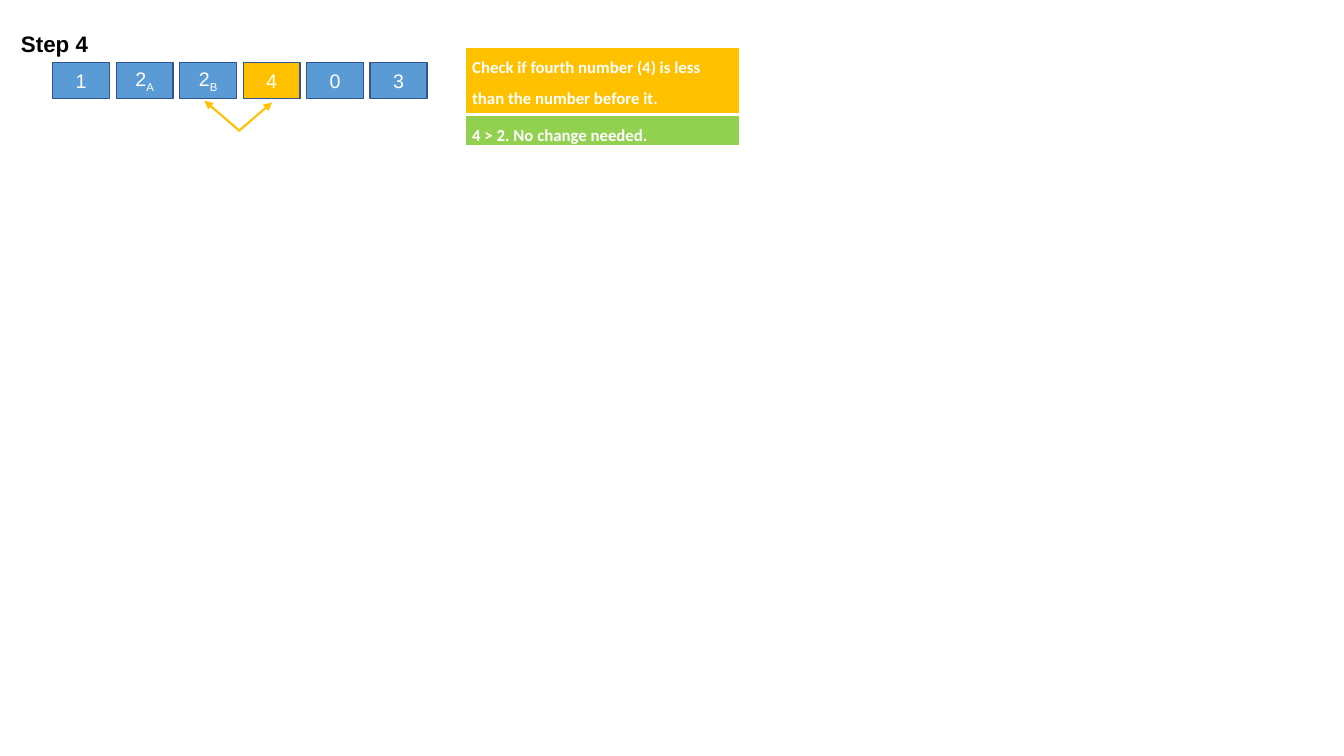
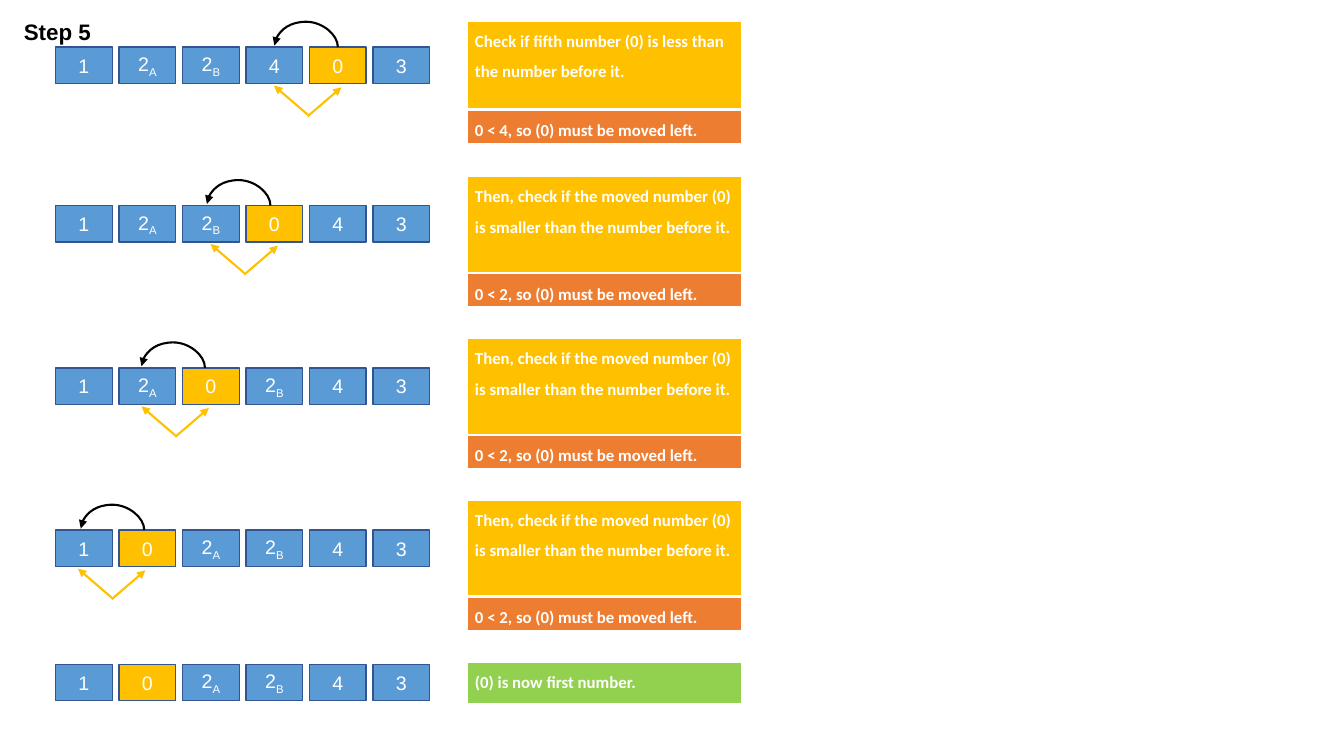
"""Builds two slides that walk through steps 4 and 5 of an insertion sort."""
from dataclasses import dataclass
from typing import NamedTuple

from lxml.etree import SubElement
from pptx import Presentation
from pptx.dml.color import RGBColor
from pptx.enum.shapes import MSO_CONNECTOR as Connector, MSO_SHAPE as Shape
from pptx.enum.text import MSO_ANCHOR as Anchor, MSO_AUTO_SIZE as AutoSize, PP_ALIGN as Align
from pptx.oxml.ns import qn
from pptx.util import Cm, Pt


@dataclass(frozen=True)
class Theme:
    box: str = "5B9BD5"
    box_line: str = "325491"
    active: str = "FFC000"
    move: str = "ED7D31"
    done: str = "92D050"
    ink: str = "000000"
    paper: str = "FFFFFF"
    number_font: str = "Arial"
    remark_font: str = "Calibri"
    title_size: int = 16
    number_size: int = 14
    remark_size: int = 12
    arrow_width: float = 1.5


class Remark(NamedTuple):
    text: str
    height: float
    fill: str


class Stage(NamedTuple):
    numbers: str
    active: int
    top: float
    remark_top: float
    remarks: tuple
    chevron_shift: float | None = None
    arc_shift: float | None = None


THEME = Theme()
RECHECK = Remark("Then, check if the moved number (0) is smaller than the number before it.",
                 2.45, THEME.active)
MOVE_PAST_TWO = Remark("0 < 2, so (0) must be moved left.", 0.86, THEME.move)

STEPS = [
    dict(title="Step 4", left=1.33, title_top=0.64, stages=[
        Stage("1 2A 2B 4 0 3", 3, 1.57, 1.2, (
            Remark("Check if fourth number (4) is less than the number before it.", 1.7, THEME.active),
            Remark("4 > 2. No change needed.", 0.81, THEME.done)), -0.04),
    ]),
    dict(title="Step 5", left=1.4, title_top=0.33, stages=[
        Stage("1 2A 2B 4 0 3", 4, 1.19, 0.53, (
            Remark("Check if fifth number (0) is less than the number before it.", 2.25, THEME.active),
            Remark("0 < 4, so (0) must be moved left.", 0.86, THEME.move)), 0.04, 0),
        Stage("1 2A 2B 0 4 3", 3, 5.18, 4.45, (RECHECK, MOVE_PAST_TWO), 0.04, -0.1),
        Stage("1 2A 0 2B 4 3", 2, 9.27, 8.53, (RECHECK, MOVE_PAST_TWO), -0.1, -0.15),
        Stage("1 0 2A 2B 4 3", 1, 13.36, 12.6, (RECHECK, MOVE_PAST_TWO), -0.1, -0.08),
        Stage("1 0 2A 2B 4 3", 1, 16.74, 16.69, (
            Remark("(0) is now first number.", 1.07, THEME.done),)),
    ]),
]

BOX_WIDTH, BOX_HEIGHT, PITCH = 1.43, 0.92, 1.6
REMARK_OFFSET, REMARK_WIDTH, REMARK_MARGIN = 10.39, 6.91, 0.18
TITLE_OFFSET, TITLE_WIDTH, TITLE_HEIGHT = -1.05, 2.24, 0.94
ARM_REACH, ARM_RISE, ARM_TIPS = 0.85, 0.73, {-1: 1.7, 1: 1.74}
ARC_DROP, ARC_RISE = 0.04, 0.64


def color(value):
    return RGBColor.from_string(value)


def write(paragraph, text, *, font, size, ink=THEME.paper, bold=False, align=None,
          spacing=None, subscript=False):
    run = paragraph.add_run()
    run.text = text
    run.font.name, run.font.size, run.font.bold = font, Pt(size), bold
    run.font.color.rgb = color(ink)
    if align is not None:
        paragraph.alignment = align
    if spacing is not None:
        paragraph.line_spacing = spacing
    if subscript:
        run._r.get_or_add_rPr().set("baseline", "-25000")


def add_title(slide, text, left, top):
    shape = slide.shapes.add_textbox(Cm(left), Cm(top), Cm(TITLE_WIDTH), Cm(TITLE_HEIGHT))
    shape.text_frame.word_wrap = False
    shape.text_frame.auto_size = AutoSize.SHAPE_TO_FIT_TEXT
    write(shape.text_frame.paragraphs[0], text, font=THEME.number_font,
          size=THEME.title_size, ink=THEME.ink, bold=True)


def add_box(slide, label, left, top, fill):
    shape = slide.shapes.add_shape(Shape.RECTANGLE, Cm(left), Cm(top), Cm(BOX_WIDTH), Cm(BOX_HEIGHT))
    shape.shadow.inherit = False
    shape.fill.solid()
    shape.fill.fore_color.rgb = color(fill)
    shape.line.color.rgb = color(THEME.box_line)
    shape.line.width = Pt(1)
    shape.text_frame.vertical_anchor = Anchor.MIDDLE
    digit, letter = label[0], label[1:]
    paragraph = shape.text_frame.paragraphs[0]
    style = dict(font=THEME.number_font, size=THEME.number_size, align=Align.CENTER)
    write(paragraph, digit, **style)
    if letter:
        write(paragraph, letter, subscript=True, **style)


def add_borders(cell):
    properties = cell._tc.get_or_add_tcPr()
    for side, width in (("L", 1), ("R", 1), ("T", 1), ("B", 3)):
        border = SubElement(properties, qn(f"a:ln{side}"), w=str(Pt(width)))
        fill = SubElement(border, qn("a:solidFill"))
        SubElement(fill, qn("a:srgbClr"), val=THEME.paper)


def add_remark(slide, remark, left, top):
    table = slide.shapes.add_table(
        1, 1, Cm(left), Cm(top), Cm(REMARK_WIDTH), Cm(remark.height)).table
    cell = table.cell(0, 0)
    add_borders(cell)
    cell.fill.solid()
    cell.fill.fore_color.rgb = color(remark.fill)
    cell.margin_left = cell.margin_right = Cm(REMARK_MARGIN)
    cell.margin_top = cell.margin_bottom = 0
    write(cell.text_frame.paragraphs[0], remark.text, font=THEME.remark_font,
          size=THEME.remark_size, bold=True, spacing=1.5)


def add_arrow(shapes, kind, start, end, ink):
    connector = shapes.add_connector(kind, *map(Cm, start + end))
    connector.line.color.rgb = color(ink)
    connector.line.width = Pt(THEME.arrow_width)
    properties = connector._element.spPr
    SubElement(properties.find(qn("a:ln")), qn("a:tailEnd"), type="triangle")
    SubElement(properties, qn("a:effectLst"))
    return connector


def add_chevron(slide, x, top):
    group = slide.shapes.add_group_shape()
    for side, depth in ARM_TIPS.items():
        tip = (x, top + depth)
        end = (x + side * ARM_REACH, top + depth - ARM_RISE)
        add_arrow(group.shapes, Connector.STRAIGHT, tip, end, THEME.active)


def add_arc(slide, x, top):
    start = (x - ARC_DROP / 2, top + PITCH / 2)
    end = (x + ARC_DROP / 2, top - PITCH / 2)
    connector = add_arrow(slide.shapes, Connector.CURVE, start, end, THEME.ink)
    properties = connector._element.spPr
    properties.find(qn("a:xfrm")).set("rot", str(270 * 60000))
    geometry = properties.find(qn("a:prstGeom"))
    guides = geometry.find(qn("a:avLst"))
    if guides is None:
        guides = SubElement(geometry, qn("a:avLst"))
    bend = round(100000 * ARC_RISE / ARC_DROP)
    SubElement(guides, qn("a:gd"), name="adj1", fmla=f"val {bend}")


def add_stage(slide, stage, left):
    for index, label in enumerate(stage.numbers.split()):
        fill = THEME.active if index == stage.active else THEME.box
        add_box(slide, label, left + index * PITCH, stage.top, fill)
    top = stage.remark_top
    for remark in stage.remarks:
        add_remark(slide, remark, left + REMARK_OFFSET, top)
        top += remark.height
    gap_center = left + stage.active * PITCH - (PITCH - BOX_WIDTH) / 2
    if stage.chevron_shift is not None:
        add_chevron(slide, gap_center + stage.chevron_shift, stage.top)
    if stage.arc_shift is not None:
        add_arc(slide, gap_center + stage.arc_shift, stage.top - ARC_DROP / 2)


def build():
    presentation = Presentation()
    presentation.slide_width, presentation.slide_height = Cm(33.87), Cm(19.05)
    for step in STEPS:
        slide = presentation.slides.add_slide(presentation.slide_layouts[6])
        add_title(slide, step["title"], step["left"] + TITLE_OFFSET, step["title_top"])
        for stage in step["stages"]:
            add_stage(slide, stage, step["left"])
    presentation.save("out.pptx")


build()
